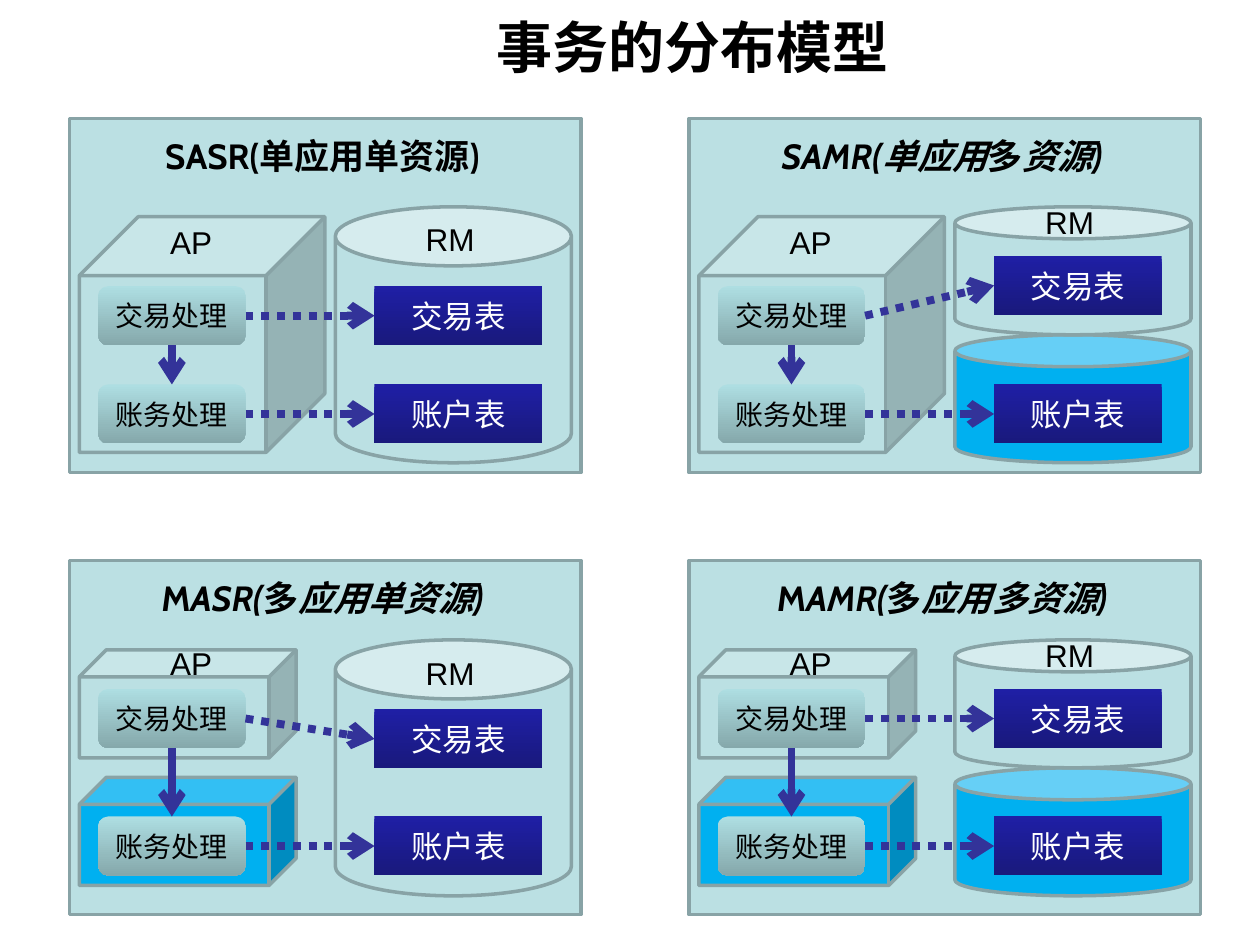
from dataclasses import dataclass

from lxml.etree import SubElement
from pptx import Presentation
from pptx.dml.color import RGBColor
from pptx.enum.dml import MSO_LINE
from pptx.enum.shapes import MSO_CONNECTOR, MSO_SHAPE
from pptx.enum.text import MSO_ANCHOR, MSO_AUTO_SIZE, PP_ALIGN
from pptx.oxml.ns import qn
from pptx.util import Cm, Pt


@dataclass(frozen=True)
class Theme:
    black: str = "000000"
    white: str = "FFFFFF"
    pale: str = "BBE0E3"
    bright: str = "00B0F0"
    outline: str = "88A3A6"
    arrow: str = "333399"
    process: tuple = ("AEDEE2", "85A8AB")
    table: tuple = ("1F1FA5", "19197C")
    head: str = "Cabin"
    latin: str = "Arial"
    cjk: str = "Noto Sans CJK SC"
    title_size: int = 32
    caption_size: int = 20
    label_size: int = 18
    process_size: int = 16
    outline_width: float = 2
    arrow_width: float = 4.5


THEME = Theme()

# Measures in cm; offsets run from the top left corner of a panel.
PANEL_W, PANEL_H = 10.31, 7.14
COLUMNS, ROWS = (1.4, 13.89), (2.39, 11.3)
PROCESS_X, PROCESS_W = 0.58, 2.97
TABLE_X, TABLE_W = 6.15, 3.38
BOX_H = 1.19
CUBE_X, CAN_X, CAN_W = 0.2, 5.36, 4.76
CAN_H = 5.16


@dataclass(frozen=True)
class Model:
    """One panel: caption runs are (text, italic)."""
    column: int
    row: int
    caption: tuple
    many_apps: bool
    many_resources: bool
    table_y: float


MODELS = (
    Model(0, 0, (("SASR(", False), ("单应用单资源", False), (")", False)),
          False, False, 3.38),
    Model(1, 0, (("SAMR(", True), ("单应用", True), ("多", False),
                 ("资源", True), (")", True)),
          False, True, 2.77),
    Model(0, 1, (("M", False), ("ASR(", True), ("多", False),
                 ("应用单资源", True), (")", True)),
          True, False, 3.0),
    Model(1, 1, (("M", False), ("AMR(", True), ("多", False),
                 ("应用多资源", True), (")", True)),
          True, True, 2.59),
)


def apply(obj, formats):
    for name, value in formats.items():
        setattr(obj, name, value)


def add_run(p, text, size, font, color, **formats):
    r = p.add_run()
    r.text = text
    apply(r.font, {"size": Pt(size), "name": font, **formats})
    r.font.color.rgb = RGBColor.from_string(color)
    SubElement(r.font._element, qn("a:ea"), typeface=font)


def add_text_box(slide, x, y, w, h, **formats):
    """Add an empty text box and return its first paragraph."""
    tf = slide.shapes.add_textbox(Cm(x), Cm(y), Cm(w), Cm(h)).text_frame
    apply(tf, {"word_wrap": True, **formats})
    return tf.paragraphs[0]


def add_solid(slide, kind, x, y, w, h, color):
    s = slide.shapes.add_shape(kind, Cm(x), Cm(y), Cm(w), Cm(h))
    s.shadow.inherit = False
    s.fill.solid()
    s.fill.fore_color.rgb = RGBColor.from_string(color)
    s.line.color.rgb = RGBColor.from_string(THEME.outline)
    s.line.width = Pt(THEME.outline_width)


def add_box(slide, kind, x, y, w, text, size, color, gradient):
    """Add a labelled box shaded from top to bottom."""
    s = slide.shapes.add_shape(kind, Cm(x), Cm(y), Cm(w), Cm(BOX_H))
    s.shadow.inherit = False
    s.line.fill.background()
    s.fill.gradient()
    s.fill.gradient_angle = 270
    for stop, position, shade in zip(s.fill.gradient_stops, (0, 1), gradient):
        stop.position = position
        stop.color.rgb = RGBColor.from_string(shade)
    tf = s.text_frame
    apply(tf, {"word_wrap": True, "vertical_anchor": MSO_ANCHOR.MIDDLE})
    p = tf.paragraphs[0]
    p.alignment = PP_ALIGN.CENTER
    add_run(p, text, size, THEME.cjk, color)


def add_arrow(slide, start, end, dotted=False):
    s = slide.shapes.add_connector(
        MSO_CONNECTOR.STRAIGHT, *(Cm(v) for v in (*start, *end)))
    s.line.color.rgb = RGBColor.from_string(THEME.arrow)
    s.line.width = Pt(THEME.arrow_width)
    if dotted:
        s.line.dash_style = MSO_LINE.ROUND_DOT
    SubElement(s.line._get_or_add_ln(), qn("a:tailEnd"), type="arrow")
    SubElement(s._element.spPr, qn("a:effectLst"))


def add_label(slide, x, y, w, text):
    p = add_text_box(slide, x, y, w, 1.02, word_wrap=False,
                     auto_size=MSO_AUTO_SIZE.SHAPE_TO_FIT_TEXT)
    add_run(p, text, THEME.label_size, THEME.latin, THEME.black)


def add_caption(slide, x, y, runs):
    p = add_text_box(slide, x, y, 9.04, BOX_H)
    apply(p, {"alignment": PP_ALIGN.CENTER, "space_before": Pt(5)})
    for text, italic in runs:
        font = THEME.head if text.isascii() else THEME.cjk
        add_run(p, text, THEME.caption_size, font, THEME.black,
                bold=True, italic=italic)


def add_containers(slide, x, y, m):
    """Add the application cubes and resource cans, with their labels."""
    cube_y, cube_w, cube_h = (1.8, 4.37, 2.18) if m.many_apps else (1.98, 4.95, 4.75)
    can_y = 1.6 if m.row else 1.78
    can_h = CAN_H / 2 if m.many_resources else CAN_H
    if m.many_apps:
        add_solid(slide, MSO_SHAPE.CUBE, x + CUBE_X, y + 4.37,
                  cube_w, cube_h, THEME.bright)
    if m.many_resources:
        add_solid(slide, MSO_SHAPE.CAN, x + CAN_X, y + can_y + can_h,
                  CAN_W, can_h, THEME.bright)
    add_solid(slide, MSO_SHAPE.CUBE, x + CUBE_X, y + cube_y,
              cube_w, cube_h, THEME.pale)
    add_solid(slide, MSO_SHAPE.CAN, x + CAN_X, y + can_y,
              CAN_W, can_h, THEME.pale)
    add_label(slide, x + 1.78, y + cube_y - (0.25 if m.many_apps else 0), 1.35, "AP")
    add_label(slide, x + 6.93, y + can_y + (-0.2 if m.many_resources else 0.15),
              1.5, "RM")


def add_flow(slide, x, y, m):
    """Add the two process boxes, their tables and the arrows between them."""
    process_ys = (2.59, 5.16) if m.many_apps else (3.38, 5.36)
    table_ys = (m.table_y, process_ys[1])
    process_x, table_x = x + PROCESS_X, x + TABLE_X
    names = (("交易处理", "交易表"), ("账务处理", "账户表"))
    for (process, table), py, ty in zip(names, process_ys, table_ys):
        add_box(slide, MSO_SHAPE.ROUNDED_RECTANGLE, process_x, y + py, PROCESS_W,
                process, THEME.process_size, THEME.black, THEME.process)
        add_box(slide, MSO_SHAPE.RECTANGLE, table_x, y + ty, TABLE_W,
                table, THEME.label_size, THEME.white, THEME.table)
        add_arrow(slide, (process_x + PROCESS_W, y + py + BOX_H / 2),
                  (table_x, y + ty + BOX_H / 2), dotted=True)
    middle = process_x + PROCESS_W / 2
    add_arrow(slide, (middle, y + process_ys[0] + BOX_H), (middle, y + process_ys[1]))


def add_model(slide, m):
    x, y = COLUMNS[m.column], ROWS[m.row]
    add_solid(slide, MSO_SHAPE.RECTANGLE, x, y, PANEL_W, PANEL_H, THEME.pale)
    add_containers(slide, x, y, m)
    add_flow(slide, x, y, m)
    add_caption(slide, x + 0.58, y + 0.2, m.caption)


def main():
    prs = Presentation()
    apply(prs, {"slide_width": Cm(25.4), "slide_height": Cm(19.05)})
    slide = prs.slides.add_slide(prs.slide_layouts[6])
    p = add_text_box(slide, 2.54, -0.66, 22.86, 3.18,
                     vertical_anchor=MSO_ANCHOR.MIDDLE)
    p.alignment = PP_ALIGN.CENTER
    add_run(p, "事务的分布模型", THEME.title_size, THEME.head, THEME.black, bold=True)
    for m in MODELS:
        add_model(slide, m)
    prs.save("out.pptx")


if __name__ == "__main__":
    main()
